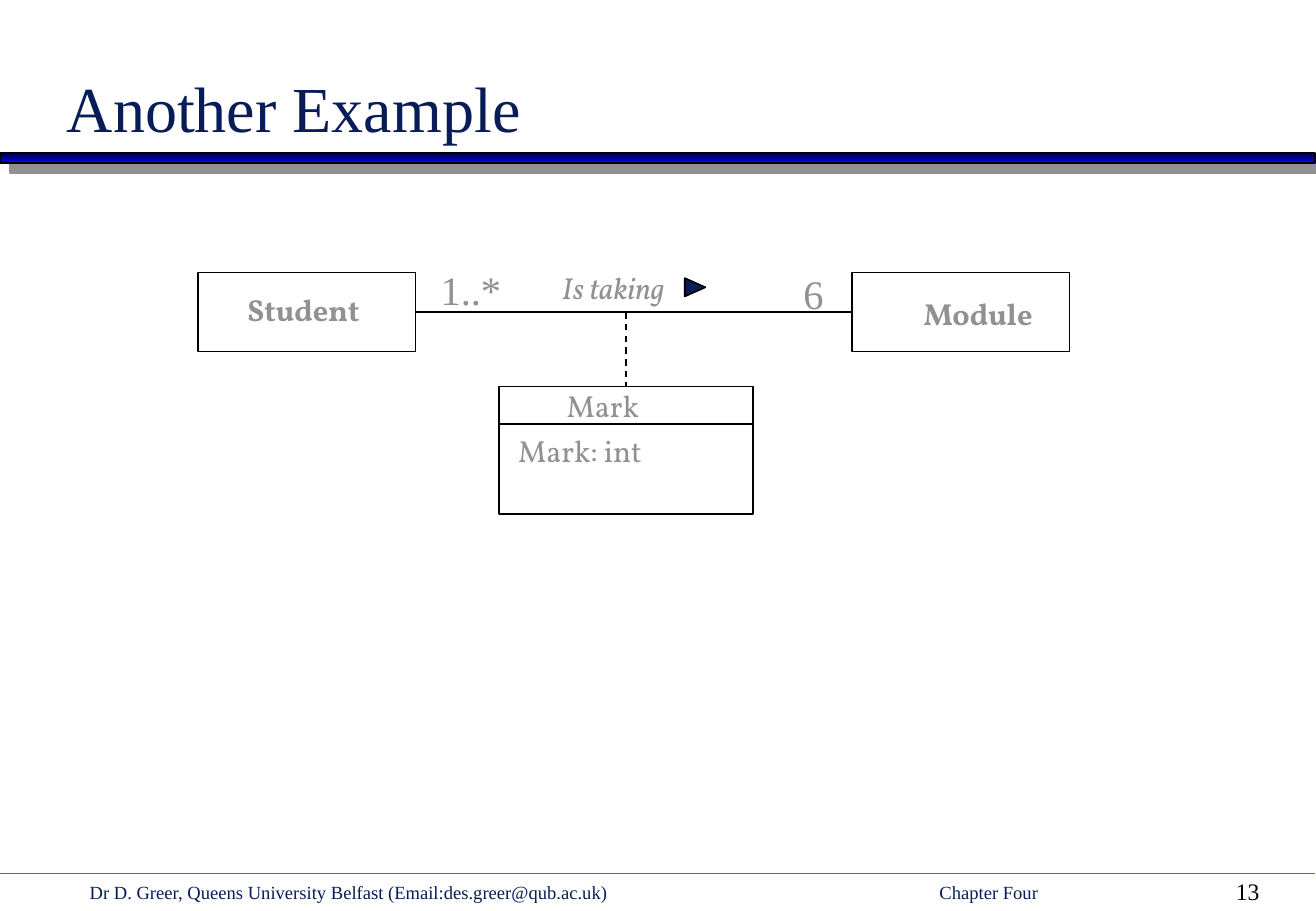
import pptx
import pptx.util
import pptx.dml.color
import pptx.enum.dml
import pptx.enum.shapes
import pptx.enum.text
import pptx.oxml
import pptx.oxml.ns

Pt = pptx.util.Pt
SHAPES = pptx.enum.shapes.MSO_SHAPE
NAMESPACE = pptx.oxml.ns.nsdecls("a")

SLIDE_SIZE = (780.48, 540)
SERIF, UML_FONT = "Times New Roman", "Vollkorn"
NAVY, GREY, BLACK, WHITE = "081D58", "919191", "000000", "FFFFFF"

TITLE = ("Another Example", (32.4, 0, 663, 90))
FOOTER = "Dr D. Greer, Queens University Belfast (Email:des.greer@qub.ac.uk)\tChapter Four"
CHAPTER_TAB = 504

STUDENT = (117.4, 161.5, 129, 47)
MODULE = (505.4, 161.5, 129, 47)
MARK = (296, 229, 150.5, 75.6)
MARK_HEADER_HEIGHT = 22.3
READING_ARROW = (406.8, 164.2, 10.8, 12.2)
TITLE_BAR = (0, 90.7, 780, 5.8)
FOOTER_LINE_TOP = 517.7

LABELS = [
    ("Student", (139.7, 169.2, 85.7, 28.8), 18, UML_FONT, GREY, True, False),
    ("Module", (540.7, 171.4, 82.8, 28.8), 18, UML_FONT, GREY, True, False),
    ("Is taking", (326.2, 156.2, 87.8, 28.8), 18, UML_FONT, GREY, False, True),
    ("Mark: int", (300.2, 252.7, 94.3, 28.8), 18, UML_FONT, GREY, False, False),
    ("Mark", (329, 226.1, 60.5, 28.8), 18, UML_FONT, GREY, False, False),
    ("1..*", (254.2, 153.4, 50.4, 36), 24, SERIF, GREY, False, False),
    ("6", (469.4, 156.2, 25.9, 36), 24, SERIF, GREY, False, False),
    ("13", (725.8, 516.2, 41.8, 24.5), 14, SERIF, BLACK, False, False),
]


def color(value):
    return pptx.dml.color.RGBColor.from_string(value)


def add_run(paragraph, text, size, font, ink, bold=False, italic=False):
    run = paragraph.add_run()
    run.text = text
    run.font.size = Pt(size)
    run.font.name = font
    run.font.bold = bold
    run.font.italic = italic
    run.font.color.rgb = color(ink)


def add_text(slide, box, text, *style):
    shape = slide.shapes.add_textbox(*map(Pt, box))
    shape.text_frame.word_wrap = False
    paragraph = shape.text_frame.paragraphs[0]
    add_run(paragraph, text, *style)
    return paragraph


def add_shape(slide, kind, box, fill=WHITE):
    shape = slide.shapes.add_shape(kind, *map(Pt, box))
    shape.shadow.inherit = False
    shape.fill.solid()
    shape.fill.fore_color.rgb = color(fill)
    shape.line.color.rgb = color(BLACK)
    shape.line.width = Pt(1)
    return shape


def add_line(slide, start, end, ink=BLACK):
    line = slide.shapes.add_connector(
        pptx.enum.shapes.MSO_CONNECTOR.STRAIGHT, *map(Pt, start + end))
    line.line.color.rgb = color(ink)
    line.line.width = Pt(1)
    line._element.spPr.append(pptx.oxml.parse_xml(f"<a:effectLst {NAMESPACE}/>"))
    return line


def add_title_bar(slide):
    bar = add_shape(slide, SHAPES.RECTANGLE, TITLE_BAR)
    bar.fill.gradient()
    bar.fill.gradient_angle = 270
    for stop, value in zip(bar.fill.gradient_stops, ("000036", "0000FF")):
        stop.color.rgb = color(value)
    effects = bar._element.spPr.find(pptx.oxml.ns.qn("a:effectLst"))
    effects.append(pptx.oxml.parse_xml(
        f'<a:outerShdw {NAMESPACE} blurRad="0" dist="{Pt(8.5)}" dir="2700000" '
        f'algn="ctr" rotWithShape="0"><a:srgbClr val="{GREY}"/></a:outerShdw>'))


def add_title(slide):
    text, box = TITLE
    title = slide.shapes.title
    title.left, title.top, title.width, title.height = map(Pt, box)
    title.text_frame.vertical_anchor = pptx.enum.text.MSO_ANCHOR.BOTTOM
    paragraph = title.text_frame.paragraphs[0]
    paragraph.alignment = pptx.enum.text.PP_ALIGN.LEFT
    add_run(paragraph, text, 38, SERIF, NAVY)


def add_footer(slide):
    add_line(slide, (0, FOOTER_LINE_TOP), (780, FOOTER_LINE_TOP), "3366FF")
    paragraph = add_text(slide, (46.1, 518.4, 667.4, 21), FOOTER, 11, SERIF, NAVY)
    paragraph._p.get_or_add_pPr().append(pptx.oxml.parse_xml(
        f'<a:tabLst {NAMESPACE}><a:tab pos="{Pt(CHAPTER_TAB)}" algn="l"/></a:tabLst>'))


def add_diagram(slide):
    student, module, mark = [
        add_shape(slide, SHAPES.RECTANGLE, box) for box in (STUDENT, MODULE, MARK)]
    middle = STUDENT[1] + STUDENT[3] / 2
    association = add_line(slide, (STUDENT[0] + STUDENT[2], middle), (MODULE[0], middle))
    association.begin_connect(student, 3)
    association.end_connect(module, 1)

    left, top, width, _ = MARK
    center = left + width / 2
    link = add_line(slide, (center, middle), (center, top))
    link.line.dash_style = pptx.enum.dml.MSO_LINE.DASH
    link.end_connect(mark, 0)
    divider = top + MARK_HEADER_HEIGHT
    add_line(slide, (left, divider), (left + width, divider))

    arrow = add_shape(slide, SHAPES.ISOSCELES_TRIANGLE, READING_ARROW, NAVY)
    arrow.rotation = 90


def main():
    presentation = pptx.Presentation()
    presentation.slide_width, presentation.slide_height = map(Pt, SLIDE_SIZE)
    slide = presentation.slides.add_slide(presentation.slide_layouts[5])
    add_title_bar(slide)
    add_title(slide)
    add_footer(slide)
    add_diagram(slide)
    for text, box, *style in LABELS:
        add_text(slide, box, text, *style)
    presentation.save("out.pptx")


if __name__ == "__main__":
    main()
